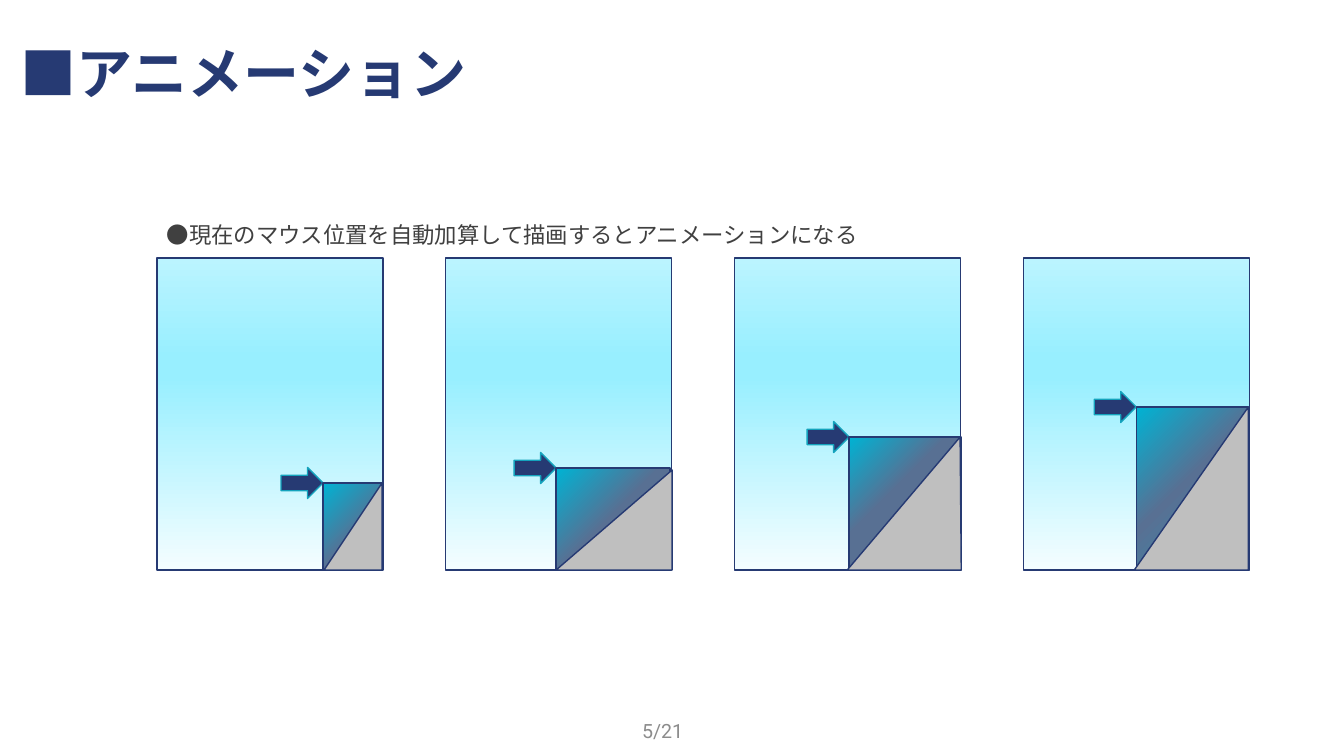
from lxml import etree
from pptx import Presentation
from pptx.dml.color import RGBColor
from pptx.enum.shapes import MSO_SHAPE
from pptx.enum.text import MSO_ANCHOR
from pptx.oxml.ns import qn
from pptx.util import Emu, Inches, Pt

RECTANGLE = MSO_SHAPE.RECTANGLE
TRIANGLE = MSO_SHAPE.ISOSCELES_TRIANGLE
RIGHT_ARROW = MSO_SHAPE.RIGHT_ARROW
TOP, MIDDLE, BOTTOM = MSO_ANCHOR.TOP, MSO_ANCHOR.MIDDLE, MSO_ANCHOR.BOTTOM

NAVY = RGBColor(0x26, 0x3A, 0x73)
TEAL = RGBColor(0x14, 0xA3, 0xBD)
CYAN = RGBColor(0x00, 0xB3, 0xD4)
SLATE = RGBColor(0x58, 0x70, 0x93)
STEEL = RGBColor(0x4C, 0x7A, 0x9C)
OCEAN = RGBColor(0x2C, 0x92, 0xB3)
SKY = RGBColor(0xBB, 0xF4, 0xFF)
AQUA = RGBColor(0x98, 0xEF, 0xFF)
ICE = RGBColor(0xF4, 0xFD, 0xFF)
SILVER = RGBColor(0xBF, 0xBF, 0xBF)
GRAY = RGBColor(0x8C, 0x8C, 0x8C)
CHARCOAL = RGBColor(0x40, 0x40, 0x40)

TITLE = "■アニメーション"
CAPTION = "●現在のマウス位置を自動加算して描画するとアニメーションになる"
PAGE_NUMBER = "5/21"

PANEL_STOPS = [(0, SKY), (32, AQUA), (38, AQUA), (100, ICE)]
FOLDS = [
    {"flap": (323, 483, 382), "under": (324, 483, 382), "corner": 1,
     "stops": [(41, SLATE), (100, CYAN)]},
    {"flap": (556, 468, 670), "under": (556, 470, 672), "corner": 1,
     "stops": [(52, SLATE), (100, CYAN)]},
    {"flap": (849, 437, 961), "under": (847, 437, 961), "corner": 0.99,
     "stops": [(60, SLATE), (100, CYAN)]},
    {"flap": (1136, 407, 1248), "under": (1134, 407, 1248), "corner": 1,
     "stops": [(3, OCEAN), (38, STEEL), (55, SLATE), (100, CYAN)]},
]

PANEL_LEFT, PANEL_TOP, PANEL_WIDTH, PANEL_BOTTOM = 157, 258, 226, 570
LAST_PANEL_LEFT = 1023
ARROW_WIDTH, ARROW_HEIGHT = 42, 31
DOWN, UP_LEFT = 270, 135


def px(length):
    return Emu(round(length * 914400 / 100.8))


def add_text(page, text, left, top, width, height, size, color,
             bold=False, anchor=TOP, spacing=None, wrap=True):
    box = page.shapes.add_textbox(px(left), px(top), px(width), px(height))
    frame = box.text_frame
    frame.word_wrap = wrap
    frame.vertical_anchor = anchor
    para = frame.paragraphs[0]
    para.line_spacing = spacing
    span = para.add_run()
    span.text = text
    span.font.name = "Roboto"
    span.font.size = Pt(size)
    span.font.bold = bold
    span.font.color.rgb = color


def add_figure(page, kind, left, top, right, bottom, line=NAVY, color=None,
               stops=None, angle=DOWN):
    shape = page.shapes.add_shape(
        kind, px(left), px(top), px(right - left), px(bottom - top))
    shape.shadow.inherit = False
    shape.line.color.rgb = line
    shape.line.width = Pt(1)
    if stops:
        shape.fill.gradient()
        shape.fill.gradient_angle = angle
        stop_list = next(shape.element.iter(qn("a:gsLst")))
        for old_stop in list(stop_list):
            stop_list.remove(old_stop)
        for percent, stop_color in stops:
            stop = etree.SubElement(stop_list, qn("a:gs"), pos=str(percent * 1000))
            etree.SubElement(stop, qn("a:srgbClr"), val=str(stop_color))
    else:
        shape.fill.solid()
        shape.fill.fore_color.rgb = color
    return shape


def main():
    deck = Presentation()
    deck.slide_width, deck.slide_height = Inches(13.33), Inches(7.5)
    page = deck.slides.add_slide(deck.slide_layouts[6])

    add_text(page, TITLE, 11, 28, 685, 83, size=40, color=NAVY, bold=True,
             anchor=BOTTOM, spacing=0.85)
    add_text(page, PAGE_NUMBER, 632, 720, 80, 22, size=14, color=GRAY, anchor=MIDDLE)

    pitch = (LAST_PANEL_LEFT - PANEL_LEFT) / (len(FOLDS) - 1)
    for index, fold in enumerate(FOLDS):
        panel_left = PANEL_LEFT + index * pitch
        add_figure(page, RECTANGLE, panel_left, PANEL_TOP,
                   panel_left + PANEL_WIDTH, PANEL_BOTTOM, stops=PANEL_STOPS)

        tip, middle, _ = fold["flap"]
        add_figure(page, RIGHT_ARROW, tip - ARROW_WIDTH, middle - ARROW_HEIGHT / 2,
                   tip, middle + ARROW_HEIGHT / 2, line=TEAL, color=NAVY)
        add_figure(page, RECTANGLE, *fold["flap"], PANEL_BOTTOM,
                   stops=fold["stops"], angle=UP_LEFT)
        under = add_figure(page, TRIANGLE, *fold["under"], PANEL_BOTTOM, color=SILVER)
        under.adjustments[0] = fold["corner"]

    add_text(page, CAPTION, 157, 216, 750, 37, size=16, color=CHARCOAL)
    deck.save("out.pptx")


if __name__ == "__main__":
    main()
